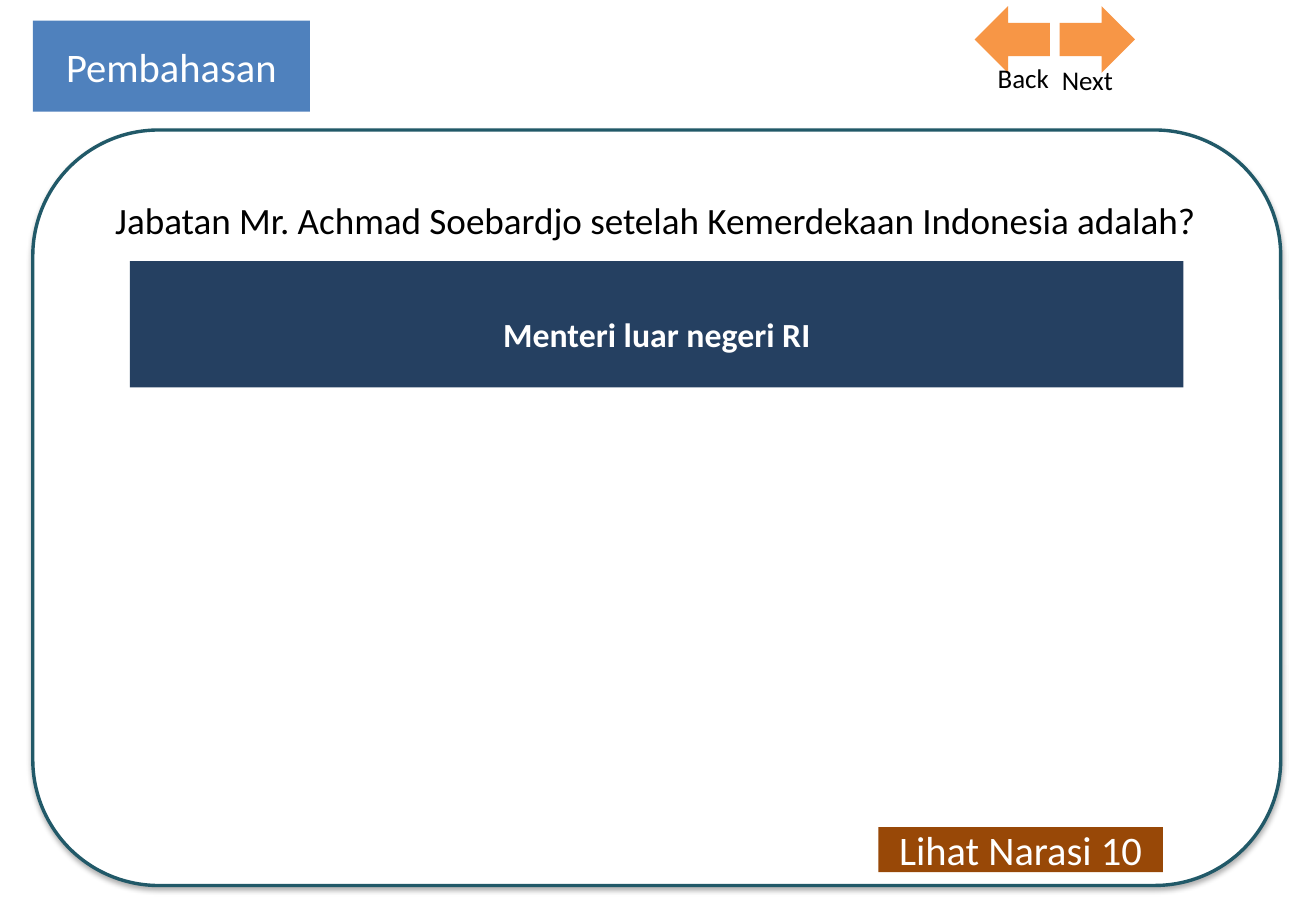
from lxml.etree import SubElement
from pptx import Presentation
from pptx.dml.color import RGBColor
from pptx.enum.shapes import MSO_SHAPE
from pptx.enum.text import MSO_ANCHOR, MSO_AUTO_SIZE, PP_ALIGN
from pptx.oxml.ns import qn
from pptx.util import Emu, Pt

EMU_PER_PX = 9144  # 100 px to the inch
FONT = "Calibri"
WHITE = RGBColor(0xFF, 0xFF, 0xFF)
BLACK = RGBColor(0x00, 0x00, 0x00)
TEAL = RGBColor(0x21, 0x59, 0x68)
BROWN = RGBColor(0x98, 0x48, 0x07)
BLUE = RGBColor(0x4F, 0x81, 0xBD)
NAVY = RGBColor(0x25, 0x40, 0x61)
ORANGE = RGBColor(0xF7, 0x96, 0x46)


def px(*lengths):
    return [Emu(length * EMU_PER_PX) for length in lengths]


def write(shape, text, size, color, alignment, bold=False, line_spacing=None):
    shape.text_frame.word_wrap = True
    paragraph = shape.text_frame.paragraphs[0]
    paragraph.text = text
    paragraph.alignment = alignment
    paragraph.line_spacing = line_spacing
    paragraph.font.name = FONT
    paragraph.font.size = Pt(size)
    paragraph.font.bold = bold
    paragraph.font.color.rgb = color


def add_filled_shape(slide, kind, box, fill):
    shape = slide.shapes.add_shape(kind, *px(*box))
    shape.shadow.inherit = False
    shape.fill.solid()
    shape.fill.fore_color.rgb = fill
    shape.line.fill.background()
    return shape


def add_soft_shadow(shape):
    """Put a faint shadow straight below the shape."""
    effects = shape.element.spPr.find(qn("a:effectLst"))
    shadow = SubElement(effects, qn("a:outerShdw"), blurRad=str(Pt(3.5)),
                        dist=str(Pt(2.2)), dir="5400000", rotWithShape="0")
    color = SubElement(shadow, qn("a:srgbClr"), val=str(BLACK))
    SubElement(color, qn("a:alpha"), val="32000")


def add_panel(slide, box):
    panel = add_filled_shape(slide, MSO_SHAPE.ROUNDED_RECTANGLE, box, WHITE)
    panel.line.color.rgb = TEAL
    panel.line.width = Pt(2)
    add_soft_shadow(panel)


def add_label(slide, box, fill, text, size, **style):
    label = add_filled_shape(slide, MSO_SHAPE.RECTANGLE, box, fill)
    label.text_frame.vertical_anchor = MSO_ANCHOR.MIDDLE
    write(label, text, size, WHITE, PP_ALIGN.CENTER, **style)


def add_text(slide, box, text, size, alignment, **style):
    text_box = slide.shapes.add_textbox(*px(*box))
    write(text_box, text, size, BLACK, alignment, **style)
    text_box.text_frame.auto_size = MSO_AUTO_SIZE.SHAPE_TO_FIT_TEXT


def add_navigation_arrow(slide, left, rotation):
    arrow = add_filled_shape(slide, MSO_SHAPE.RIGHT_ARROW, (left, 5, 62, 55), ORANGE)
    arrow.rotation = rotation


def main():
    presentation = Presentation()
    presentation.slide_width, presentation.slide_height = px(1083, 750)
    slide = presentation.slides.add_slide(presentation.slide_layouts[6])

    add_panel(slide, (27, 107, 1027, 622))
    add_text(slide, (85, 139, 945, 60),
             "Jabatan Mr. Achmad Soebardjo setelah Kemerdekaan Indonesia adalah?",
             22, PP_ALIGN.JUSTIFY, line_spacing=1.5)
    add_label(slide, (723, 681, 234, 37), BROWN, "Lihat Narasi 10", 24)
    add_label(slide, (27, 17, 228, 75), BLUE, "Pembahasan", 24)
    add_label(slide, (107, 215, 867, 104), NAVY, "Menteri luar negeri RI", 20,
              bold=True, line_spacing=1.5)

    add_navigation_arrow(slide, 802, 180)
    add_navigation_arrow(slide, 872, 0)
    add_text(slide, (864, 47, 140, 37), "Next", 16, PP_ALIGN.LEFT)
    add_text(slide, (733, 46, 140, 37), "Back", 16, PP_ALIGN.RIGHT)

    presentation.save("out.pptx")


if __name__ == "__main__":
    main()
